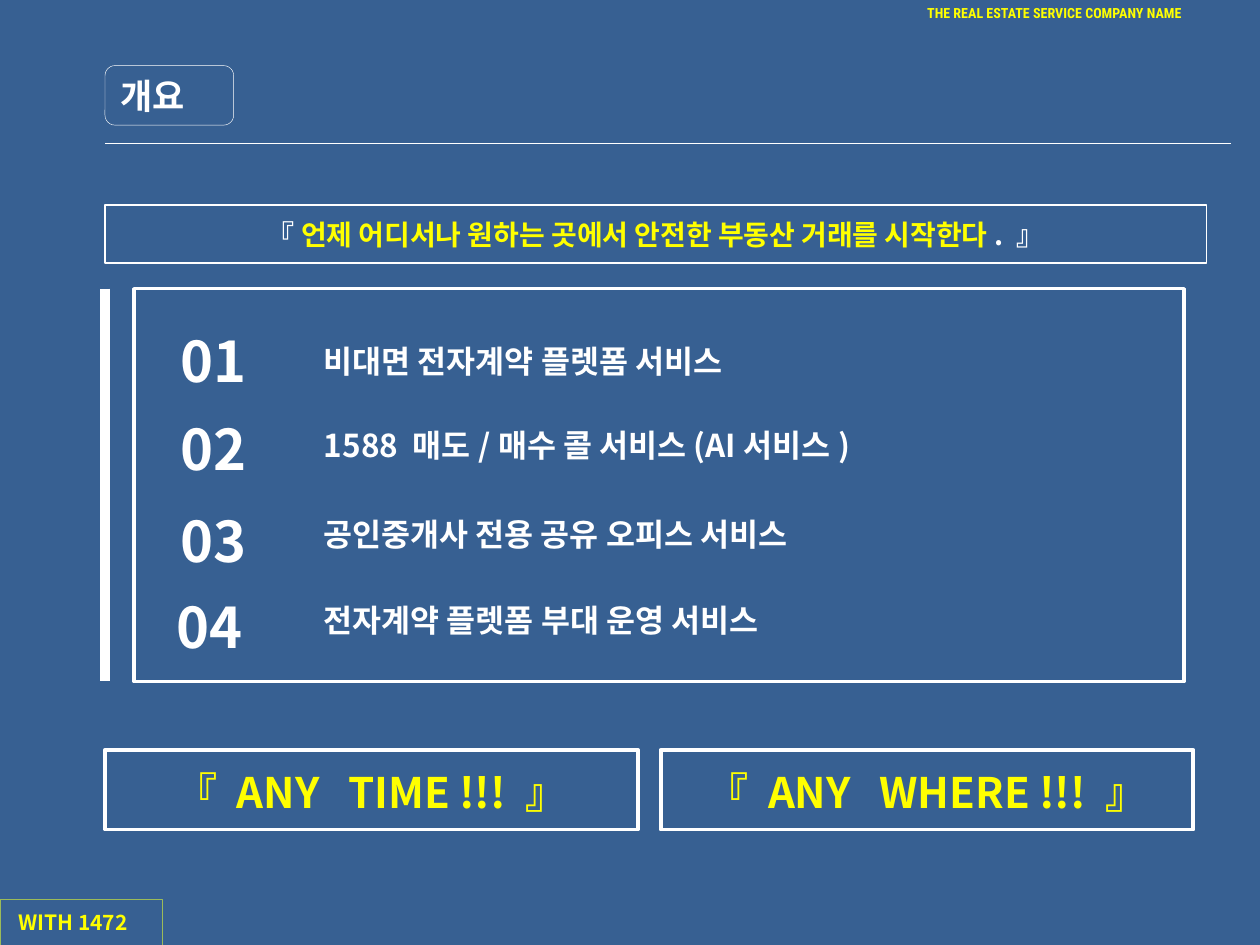
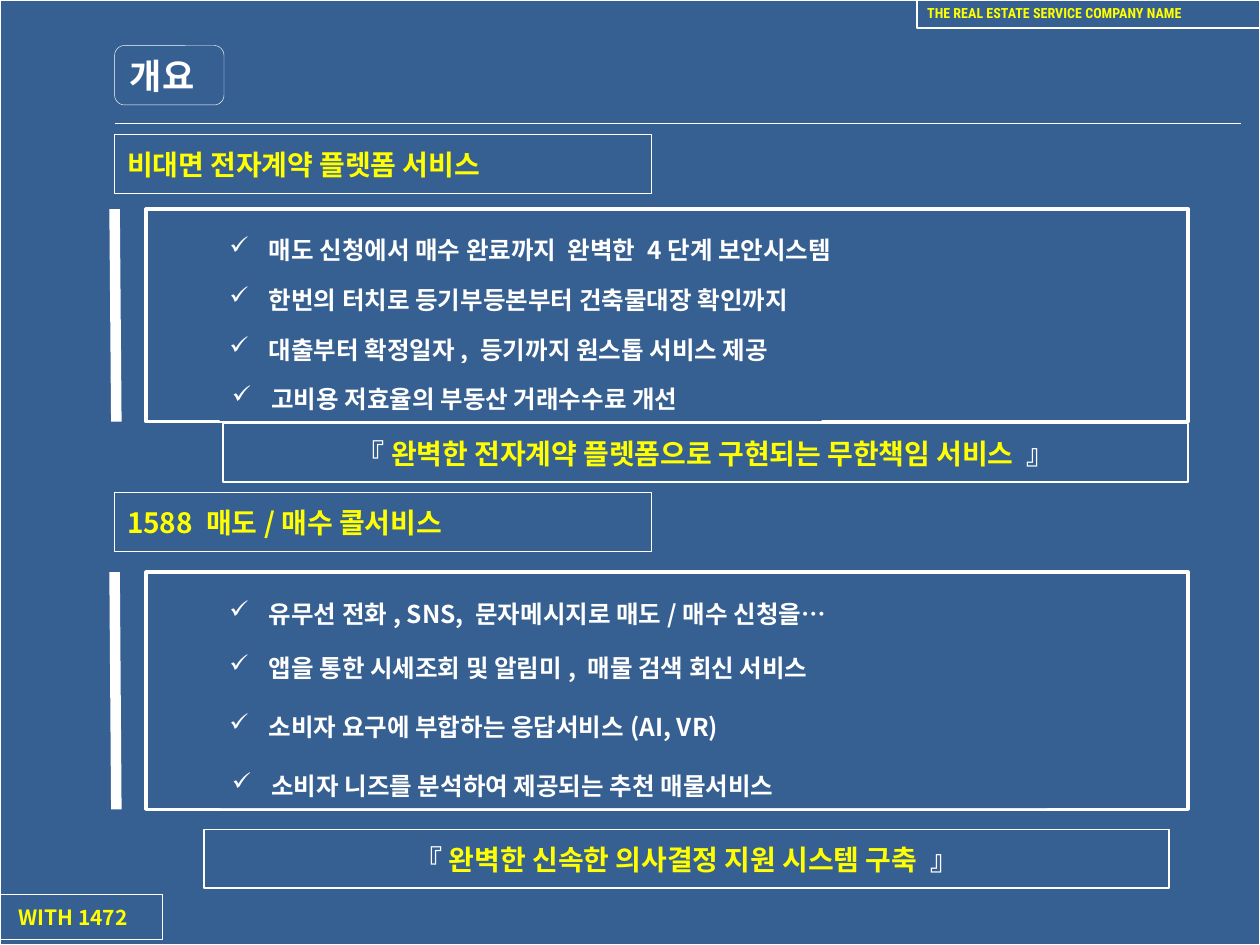
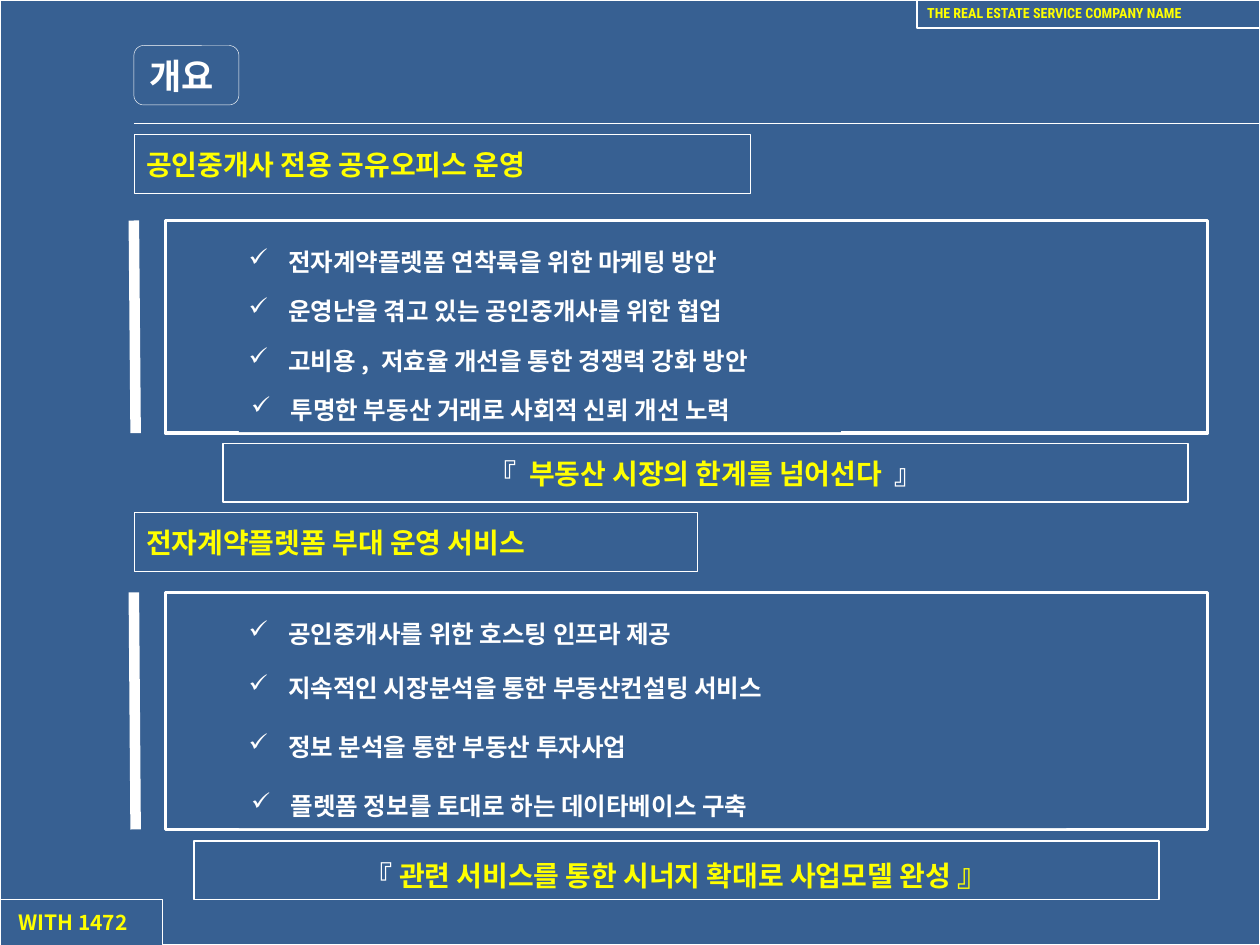
from lxml.etree import SubElement
from pptx import Presentation
from pptx.dml.color import RGBColor
from pptx.enum.shapes import MSO_CONNECTOR, MSO_SHAPE
from pptx.enum.text import MSO_ANCHOR, PP_ALIGN
from pptx.oxml.ns import qn
from pptx.util import Pt

BLUE = RGBColor(0x37, 0x60, 0x92)
WHITE = RGBColor(0xFF, 0xFF, 0xFF)
YELLOW = RGBColor(0xFF, 0xFF, 0x00)
GREEN = RGBColor(0x9B, 0xBB, 0x59)
SANS = "Noto Sans CJK KR"
NARROW = "Roboto Condensed"

TITLE = "개요"
HEADER = "THE REAL ESTATE SERVICE COMPANY NAME"
FOOTER = "WITH 1472"

MOTTO = [("『 ", WHITE, 16), ("언제 어디서나 원하는 곳에서 안전한 부동산 거래를 시작한다", YELLOW, 16),
         (". 』", WHITE, 16)]
ITEMS = [
    ("01", 96, 175.5, "비대면 전자계약 플렛폼 서비스", 187.5, 430),
    ("02", 96, 225.5, "1588 매도/매수 콜 서비스(AI서비스)", 235.5, 387),
    ("03", 96, 278, "공인중개사 전용 공유 오피스 서비스", 286.5, 341),
    ("04", 93.5, 327.5, "전자계약 플렛폼 부대 운영 서비스", 335.5, 323),
]
SLOGANS = ["『 ANY   TIME !!! 』", "『 ANY   WHERE !!! 』"]

UPPER = {"tall": 121.5, "steps": (3, 31.4, 60, 88), "wides": (442, 430.5, 396.5, 344)}
LOWER = {"tall": 135.5, "steps": (3.2, 34.2, 68, 101.8), "wides": (442, 430.5, 396.5, 473)}

PAGES = [
    {"left": 65.5, "title": 62.5, "foot": 511, "parts": [
        {"head": "비대면 전자계약 플렛폼 서비스", "wide": 306.5, "y": 77, "top": 119.5, "size": UPPER,
         "rows": ["매도 신청에서 매수 완료까지  완벽한 4단계 보안시스템",
                  "한번의 터치로 등기부등본부터 건축물대장 확인까지",
                  "대출부터 확정일자, 등기까지 원스톱 서비스 제공",
                  "고비용 저효율의 부동산 거래수수료 개선"],
         "quote": [("『 ", WHITE, 16), ("완벽한 전자계약 플렛폼으로 구현되는 무한책임 서비스  ", YELLOW, 16),
                   ("』", WHITE, 16)],
         "at": (127.5, 242)},
        {"head": "1588 매도/매수 콜서비스", "wide": 306.5, "y": 281.5, "top": 327, "size": LOWER,
         "rows": ["유무선 전화, SNS, 문자메시지로 매도/매수 신청을…",
                  "앱을 통한 시세조회 및 알림미, 매물 검색 회신 서비스",
                  "소비자 요구에 부합하는 응답서비스(AI, VR)",
                  "소비자 니즈를 분석하여 제공되는 추천 매물서비스"],
         "quote": [("『 ", WHITE, 16), ("완벽한 신속한 의사결정 지원 시스템 구축  ", YELLOW, 16),
                   ("』", WHITE, 16)],
         "at": (116.5, 474)},
    ]},
    {"left": 76.5, "title": 60, "foot": 514, "parts": [
        {"head": "공인중개사 전용 공유오피스 운영", "wide": 352, "y": 77, "top": 126, "size": UPPER,
         "rows": ["전자계약플렛폼 연착륙을 위한 마케팅 방안",
                  "운영난을 겪고 있는 공인중개사를 위한 협업",
                  "고비용, 저효율 개선을 통한 경쟁력 강화 방안",
                  "투명한 부동산 거래로 사회적 신뢰 개선 노력"],
         "quote": [("『  ", WHITE, 16), ("부동산 시장의 한계를 넘어선다  ", YELLOW, 16), ("』", WHITE, 16)],
         "at": (127.5, 253.5)},
        {"head": "전자계약플렛폼 부대 운영 서비스", "wide": 322, "y": 293, "top": 338.5, "size": LOWER,
         "rows": ["공인중개사를 위한 호스팅 인프라 제공",
                  "지속적인 시장분석을 통한 부동산컨설팅 서비스",
                  "정보 분석을 통한 부동산 투자사업",
                  "플렛폼 정보를 토대로 하는 데이타베이스 구축"],
         "quote": [("『 ", WHITE, 16), ("관련 서비스를 통한 시너지 확대로 사업모델 완성 ", YELLOW, 16),
                   ("』", YELLOW, 18)],
         "at": (111, 480.5)},
    ]},
]


def add_box(slide, x, y, w, h, line=0, color=WHITE, kind=MSO_SHAPE.RECTANGLE):
    box = slide.shapes.add_shape(kind, Pt(x), Pt(y), Pt(w), Pt(h))
    box.shadow.inherit = False
    box.fill.solid()
    box.fill.fore_color.rgb = BLUE
    if line:
        box.line.color.rgb = color
        box.line.width = Pt(line)
    else:
        box.line.fill.background()
    return box


def add_text(box, runs, space=1.2, align=PP_ALIGN.LEFT, anchor=MSO_ANCHOR.TOP,
             inset=(7.2, 3.6), face=SANS, tick=False):
    frame = box.text_frame
    frame.word_wrap = True
    frame.vertical_anchor = anchor
    frame.margin_left, frame.margin_top = Pt(inset[0]), Pt(inset[1])
    para = frame.paragraphs[0]
    para.alignment = align
    para.line_spacing = space
    if tick:
        props = para._p.get_or_add_pPr()
        props.set("marL", str(Pt(22.5)))
        props.set("indent", str(-Pt(22.5)))
        SubElement(props, qn("a:buChar")).set("char", "✓")
    for words, color, size in runs:
        run = para.add_run()
        run.text = words
        run.font.size = Pt(size)
        run.font.bold = True
        run.font.color.rgb = color
        run.font.name = face
        SubElement(run._r.get_or_add_rPr(), qn("a:ea")).set("typeface", face)


def add_line(slide, x1, y1, x2, y2, width):
    line = slide.shapes.add_connector(MSO_CONNECTOR.STRAIGHT, Pt(x1), Pt(y1), Pt(x2), Pt(y2))
    line.line.color.rgb = WHITE
    line.line.width = Pt(width)
    SubElement(line._element.spPr, qn("a:effectLst"))


def start(deck, left, top, wide, edge):
    slide = deck.slides.add_slide(deck.slide_layouts[6])
    add_box(slide, 0, 0, 720, 540, edge)
    box = add_box(slide, left, top, wide, 34, 0.25, kind=MSO_SHAPE.ROUNDED_RECTANGLE)
    add_text(box, [(TITLE, WHITE, 20)], 1, anchor=MSO_ANCHOR.MIDDLE)
    add_line(slide, left, top + 44.5, left + 643.5, top + 44.5, 0.75)
    return slide


def finish(slide, foot, edge, color=WHITE):
    add_text(add_box(slide, 524, 0, 196, 16, edge), [(HEADER, YELLOW, 8)], 1,
             inset=(5.8, 2.9), face=NARROW)
    add_text(add_box(slide, 0, foot, 93, 26, 0.25, color), [(FOOTER, YELLOW, 12)], 1,
             inset=(10.5, 5.6))


def add_part(slide, left, part):
    size, top = part["size"], part["top"]
    add_text(add_box(slide, left, part["y"], part["wide"], 33.5, 0.25), [(part["head"], YELLOW, 16)])
    add_box(slide, left + 18, top, 595.5, size["tall"], 2)
    add_text(add_box(slide, *part["at"], 551.5, 33.5, 1), part["quote"], align=PP_ALIGN.CENTER)
    add_line(slide, left, top, left + 1, top + size["tall"], 6)
    for i, (row, step, wide) in enumerate(zip(part["rows"], size["steps"], size["wides"])):
        x = left + 58.5 + (1.5 if i == 3 else 0)
        add_text(add_box(slide, x, top + step, wide, 33), [(row, WHITE, 14)], 1.5, tick=True)


def add_cover(deck):
    slide = start(deck, 60, 37.5, 73.5, 0)
    add_text(add_box(slide, 60, 117, 629.5, 33.5, 1), MOTTO, align=PP_ALIGN.CENTER)
    for i, words in enumerate(SLOGANS):
        add_text(add_box(slide, 60 + 317.5 * i, 428.5, 304.5, 45.5, 2.25),
                 [(words, YELLOW, 24)], align=PP_ALIGN.CENTER)
    add_line(slide, 60, 165, 60, 389, 6)
    add_box(slide, 76.5, 165, 600, 224.5, 2)
    for mark, x, high, words, low, wide in ITEMS:
        add_text(add_box(slide, 178, low, wide, 33), [(words, WHITE, 18)])
        add_text(add_box(slide, x, high, 71, 41), [(mark, WHITE, 32)])
    finish(slide, 514, 0, GREEN)


def main():
    deck = Presentation()
    deck.slide_width, deck.slide_height = Pt(720), Pt(540)
    add_cover(deck)
    for page in PAGES:
        slide = start(deck, page["left"], 26, page["title"], 0.75)
        for part in page["parts"]:
            add_part(slide, page["left"], part)
        finish(slide, page["foot"], 0.75)
    deck.save("out.pptx")


if __name__ == "__main__":
    main()
